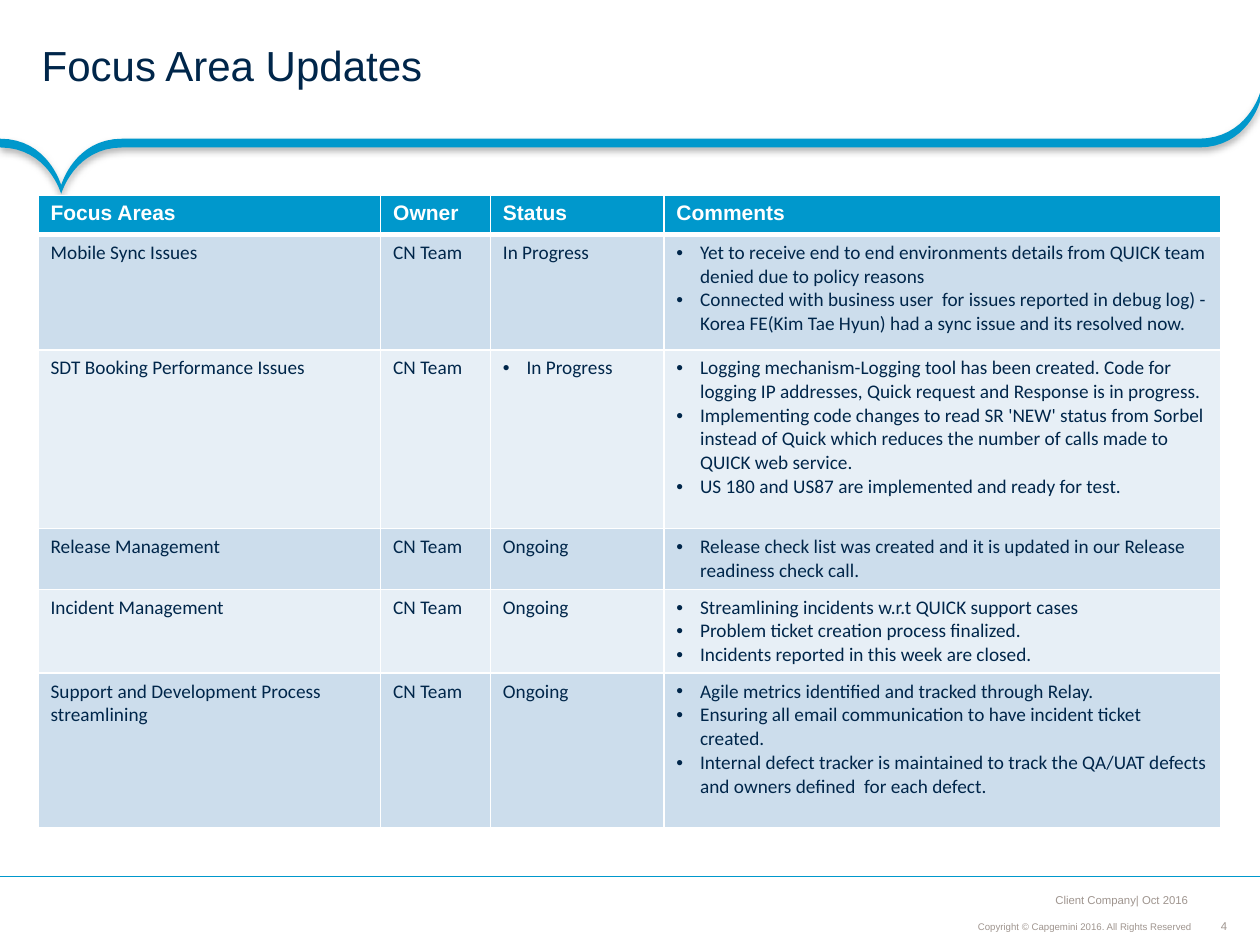
from lxml import etree
from pptx import Presentation
from pptx.dml.color import RGBColor
from pptx.enum.text import MSO_ANCHOR, MSO_AUTO_SIZE, PP_ALIGN
from pptx.oxml import parse_xml
from pptx.oxml.ns import qn
from pptx.util import Pt

LEFT, CENTER, RIGHT = PP_ALIGN.LEFT, PP_ALIGN.CENTER, PP_ALIGN.RIGHT
MIDDLE, BOTTOM = MSO_ANCHOR.MIDDLE, MSO_ANCHOR.BOTTOM
NO_FIT = MSO_AUTO_SIZE.NONE

BLUE = RGBColor(0x00, 0x98, 0xCC)
NAVY = RGBColor(0x00, 0x26, 0x4A)
GREY = RGBColor(0x9F, 0x95, 0x8F)
WHITE = RGBColor(0xFF, 0xFF, 0xFF)
BANDS = (RGBColor(0xCC, 0xDD, 0xEC), RGBColor(0xE7, 0xEF, 0xF6))

A_NS = 'xmlns:a="http://schemas.openxmlformats.org/drawingml/2006/main"'
SHADOW = (f'<a:effectLst {A_NS}><a:outerShdw blurRad="{Pt(4)}" dist="{Pt(2)}" dir="5400000" '
          'algn="t" rotWithShape="0"><a:srgbClr val="000000"><a:alpha val="31000"/>'
          '</a:srgbClr></a:outerShdw></a:effectLst>')

COL_WIDTHS = (195.8, 62.7, 99.2, 318.1)
ROW_HEIGHTS = (22.5, 65.8, 102.3, 34.6, 47.7, 88.6)
HEADERS = ("Focus Areas", "Owner", "Status", "Comments")
OWNER = "CN Team"
ROWS = (
    ("Mobile Sync Issues", "In Progress", [
        "Yet to receive end to end environments details from QUICK team denied due to "
        "policy reasons",
        "Connected with business user  for issues reported in debug log) - Korea FE(Kim Tae "
        "Hyun) had a sync issue and its resolved now."]),
    ("SDT Booking Performance Issues", ["In Progress"], [
        "Logging mechanism-Logging tool has been created. Code for logging IP addresses, "
        "Quick request and Response is in progress.",
        "Implementing code changes to read SR 'NEW' status from Sorbel instead of Quick "
        "which reduces the number of calls made to QUICK web service.",
        "US 180 and US87 are implemented and ready for test."]),
    ("Release Management", "Ongoing", [
        "Release check list was created and it is updated in our Release readiness "
        "check call."]),
    ("Incident Management", "Ongoing", [
        "Streamlining incidents w.r.t QUICK support cases",
        "Problem ticket creation process finalized.",
        "Incidents reported in this week are closed."]),
    ("Support and Development Process streamlining", "Ongoing", [
        "Agile metrics identified and tracked through Relay.",
        "Ensuring all email communication to have incident ticket created.",
        "Internal defect tracker is maintained to track the QA/UAT defects and owners "
        "defined  for each defect."]),
)


def write(tf, text, size=11, font="Arial", color=NAVY, bold=False, align=LEFT, spacing=None):
    """Fill a text frame with a string, or with a list of strings as bullets."""
    bulleted = isinstance(text, list)
    for i, line in enumerate(text if bulleted else [text]):
        p = tf.add_paragraph() if i else tf.paragraphs[0]
        p.alignment = align
        if spacing:
            p.line_spacing = spacing
        if bulleted:
            pPr = p._p.get_or_add_pPr()
            pPr.set("marL", str(Pt(13.5)))
            pPr.set("indent", str(-Pt(13.5)))
            etree.SubElement(pPr, qn("a:buFont")).set("typeface", "Arial")
            etree.SubElement(pPr, qn("a:buChar")).set("char", "•")
        r = p.add_run()
        r.text = line
        f = r.font
        f.name, f.size, f.bold = font, Pt(size), bold
        f.color.rgb = color


def set_frame(tf, anchor, left, top, right, bottom, wrap=True):
    """Set the anchor, the margins and the wrapping of a text frame."""
    tf.auto_size, tf.vertical_anchor, tf.word_wrap = NO_FIT, anchor, wrap
    tf.margin_left, tf.margin_top = Pt(left), Pt(top)
    tf.margin_right, tf.margin_bottom = Pt(right), Pt(bottom)


def add_title(s, x, y, w, h):
    """Place the slide title."""
    sp = s.shapes.title
    sp.left, sp.top, sp.width, sp.height = Pt(x), Pt(y), Pt(w), Pt(h)
    set_frame(sp.text_frame, MIDDLE, 23.8, 3, 13, 3)
    write(sp.text_frame, "Focus Area Updates", size=24, spacing=0.85)


def curve(start, c1, c2, end, steps=16):
    """Return points along a cubic Bezier curve."""
    points = []
    for i in range(steps + 1):
        t = i / steps
        weights = ((1 - t) ** 3, 3 * t * (1 - t) ** 2, 3 * t * t * (1 - t), t ** 3)
        points.append(tuple(sum(k * p[axis] for k, p in zip(weights, (start, c1, c2, end)))
                            for axis in (0, 1)))
    return points


def add_ribbon(s, x, y, w, h):
    """Draw the shadowed ribbon with its notch on the left and its rise on the right."""
    thick, base, reach, pull = 5, y + 26, 35, 27.5
    tip, low = (x + reach, y + h - thick), y + thick
    right = x + w
    top = (curve((x, base), (x + pull, base), tip, tip)
           + curve(tip, tip, (x + 2 * reach - pull, base), (x + 2 * reach, base))
           + curve((right - reach, base), (right - reach + pull, base),
                   (right, low - thick), (right, low - thick)))
    bottom = [(px, py + thick) for px, py in reversed(top)]
    outline = [(Pt(px), Pt(py)) for px, py in top + bottom]
    builder = s.shapes.build_freeform(*outline[0])
    builder.add_line_segments(outline[1:], close=True)
    sp = builder.convert_to_shape()
    sp.fill.solid()
    sp.fill.fore_color.rgb = BLUE
    sp.line.fill.background()
    sp._element.spPr.append(parse_xml(SHADOW))


def style_cell(cell, fill, top=1, bottom=1):
    """Give a cell white borders and a plain fill."""
    tcPr = cell._tc.get_or_add_tcPr()
    for side, width in (("L", 1), ("R", 1), ("T", top), ("B", bottom)):
        tcPr.append(parse_xml(f'<a:ln{side} {A_NS} w="{Pt(width)}"><a:solidFill>'
                              f'<a:srgbClr val="{WHITE}"/></a:solidFill></a:ln{side}>'))
    cell.fill.solid()
    cell.fill.fore_color.rgb = fill


def add_focus_table(s, x, y, w, h):
    """Build the table of focus areas."""
    table = s.shapes.add_table(len(ROWS) + 1, len(HEADERS), Pt(x), Pt(y), Pt(w), Pt(h)).table
    for column, width in zip(table.columns, COL_WIDTHS):
        column.width = Pt(width)
    for row, height in zip(table.rows, ROW_HEIGHTS):
        row.height = Pt(height)
    for c, text in enumerate(HEADERS):
        cell = table.cell(0, c)
        style_cell(cell, BLUE, bottom=3)
        write(cell.text_frame, text, size=12, color=WHITE, bold=True)
    for r, (area, status, comments) in enumerate(ROWS, 1):
        for c, text in enumerate((area, OWNER, status, comments)):
            cell = table.cell(r, c)
            style_cell(cell, BANDS[(r - 1) % 2], top=3 if r == 1 else 1)
            write(cell.text_frame, text, font="Calibri")


def add_footer(s, x, y, w, h):
    """Draw the footer rule, the two footer lines and the page number."""
    rule = s.shapes.add_connector(1, Pt(x + w), Pt(y), Pt(x), Pt(y))
    rule.line.color.rgb, rule.line.width = BLUE, Pt(0.75)
    etree.SubElement(rule._element.spPr, qn("a:effectLst"))
    right, bottom = x + w - 36, y + h
    for text, box, size, align, anchor, inset, spacing in (
            ("Copyright © Capgemini 2016. All Rights Reserved",
             (right - 194, bottom - 18.7, 194, 14.4), 5.5, RIGHT, BOTTOM, 3, 0.9),
            ("Client Company| Oct 2016",
             (right - 141, bottom - 33.8, 139, 15), 6.5, RIGHT, BOTTOM, 3, None),
            ("4", (right + 11.5, bottom - 15.1, 8, 8), 6.5, CENTER, MIDDLE, 0, None)):
        sp = s.shapes.add_textbox(*map(Pt, box))
        set_frame(sp.text_frame, anchor, inset, inset, inset, inset, wrap=align == RIGHT)
        write(sp.text_frame, text, size=size, color=GREY, align=align, spacing=spacing)


def main():
    """Build the slide and save it."""
    prs = Presentation()
    prs.slide_width, prs.slide_height = Pt(720), Pt(540)
    s = prs.slides.add_slide(prs.slide_layouts[5])
    add_ribbon(s, 0, 53.3, 720, 57.6)
    add_footer(s, 0, 501, 720, 39)
    add_title(s, 0, 0, 720, 79)
    add_focus_table(s, 21.7, 111.6, sum(COL_WIDTHS), sum(ROW_HEIGHTS))
    prs.save("out.pptx")


if __name__ == "__main__":
    main()
